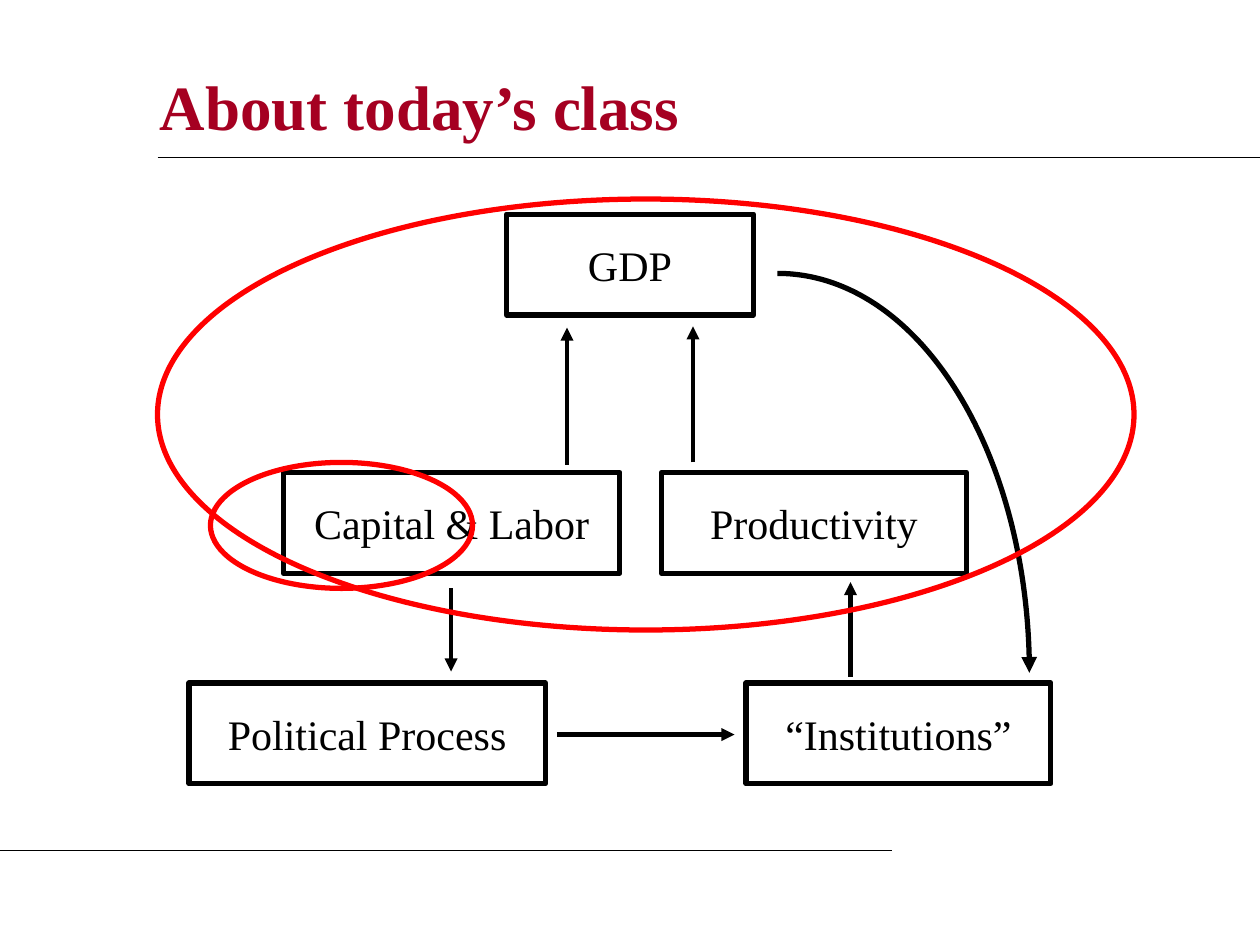
from lxml import etree
from pptx import Presentation
from pptx.dml.color import RGBColor
from pptx.enum.shapes import MSO_CONNECTOR, MSO_SHAPE
from pptx.enum.text import MSO_ANCHOR, PP_ALIGN
from pptx.oxml.ns import qn
from pptx.util import Inches, Pt

COLORS = {"title": "A50021", "ink": "000000", "highlight": "FF0000"}
FONT = "Times New Roman"
BOX_HEIGHT = 0.8


def rgb(name):
    return RGBColor.from_string(COLORS[name])


def style_text(shape, text, size, color, align, bold=False):
    frame = shape.text_frame
    frame.word_wrap = True
    frame.vertical_anchor = MSO_ANCHOR.MIDDLE
    frame.text = text
    para = frame.paragraphs[0]
    para.alignment = align
    font = para.runs[0].font
    font.name, font.size, font.bold = FONT, Pt(size), bold
    font.color.rgb = rgb(color)


def style_outline(shape, color, width=3):
    shape.shadow.inherit = False
    shape.fill.background()
    shape.line.color.rgb = rgb(color)
    shape.line.width = Pt(width)


def add_arrowhead(shape):
    line = shape.line._get_or_add_ln()
    etree.SubElement(line, qn("a:tailEnd"), type="triangle")


def add_line(page, start, end, width, arrow=False):
    line = page.shapes.add_connector(
        MSO_CONNECTOR.STRAIGHT, *(Inches(value) for value in (*start, *end)))
    line.line.color.rgb = rgb("ink")
    line.line.width = Pt(width)
    etree.SubElement(line._element.spPr, qn("a:effectLst"))
    if arrow:
        add_arrowhead(line)


def add_outline(page, preset, left, top, width, height, color):
    shape = page.shapes.add_shape(
        preset, Inches(left), Inches(top), Inches(width), Inches(height))
    style_outline(shape, color)
    return shape


def add_curved_arrow(page, left, top, width, height):
    """Quarter ellipse from the top left to the bottom right of its box."""
    builder = page.shapes.build_freeform(Inches(left), Inches(top))
    builder.add_line_segments(
        [(Inches(left + width), Inches(top + height))], close=False)
    curve = builder.convert_to_shape()
    style_outline(curve, "ink")
    add_arrowhead(curve)

    segment = next(curve._element.iter(qn("a:lnTo")))
    bezier = etree.Element(qn("a:cubicBezTo"))
    for x, y in ((0.55, 0), (1, 0.45), (1, 1)):
        etree.SubElement(bezier, qn("a:pt"), x=str(Inches(width * x)),
                         y=str(Inches(height * y)))
    segment.getparent().replace(segment, bezier)


def add_header(page, left, top, width, height):
    title = page.shapes.add_textbox(
        Inches(left), Inches(top), Inches(width), Inches(height))
    style_text(title, "About today’s class", 36, "title", PP_ALIGN.LEFT, bold=True)
    rule_top = top + height
    add_line(page, (left + 0.08, rule_top), (10, rule_top), 0.75)


def add_diagram(page, left, top):
    boxes = [
        ("Capital & Labor", 1, 2.17, 2.67),
        ("Productivity", 4, 2.17, 2.42),
        ("GDP", 2.77, 0.12, 1.96),
        ("“Institutions”", 4.67, 3.84, 2.42),
        ("Political Process", 0.25, 3.84, 2.83),
    ]
    for text, x, y, width in boxes:
        box = add_outline(page, MSO_SHAPE.RECTANGLE, left + x, top + y,
                          width, BOX_HEIGHT, "ink")
        style_text(box, text, 24, "ink", PP_ALIGN.CENTER)

    arrows = [
        ((3.25, 2.11), (3.25, 1.02)),
        ((4.25, 2.09), (4.25, 1.01)),
        ((5.5, 3.79), (5.5, 3.04)),
        ((3.17, 4.25), (4.58, 4.25)),
        ((2.33, 3.09), (2.33, 3.75)),
    ]
    for start, end in arrows:
        add_line(page, (left + start[0], top + start[1]),
                 (left + end[0], top + end[1]), 2.5, arrow=True)
    add_curved_arrow(page, left + 4.92, top + 0.59, 2, 3.17)

    for x, y, width, height in ((0, 0, 7.75, 3.42), (0.42, 2.09, 2.08, 1)):
        add_outline(page, MSO_SHAPE.OVAL, left + x, top + y, width, height,
                    "highlight")


def main():
    deck = Presentation()
    deck.slide_width, deck.slide_height = Inches(10), Inches(7.5)
    page = deck.slides.add_slide(deck.slide_layouts[6])
    add_header(page, 1.17, 0.42, 8.08, 0.83)
    add_line(page, (0, 6.75), (7.08, 6.75), 0.75)
    add_diagram(page, 1.25, 1.58)
    deck.save("out.pptx")


if __name__ == "__main__":
    main()
